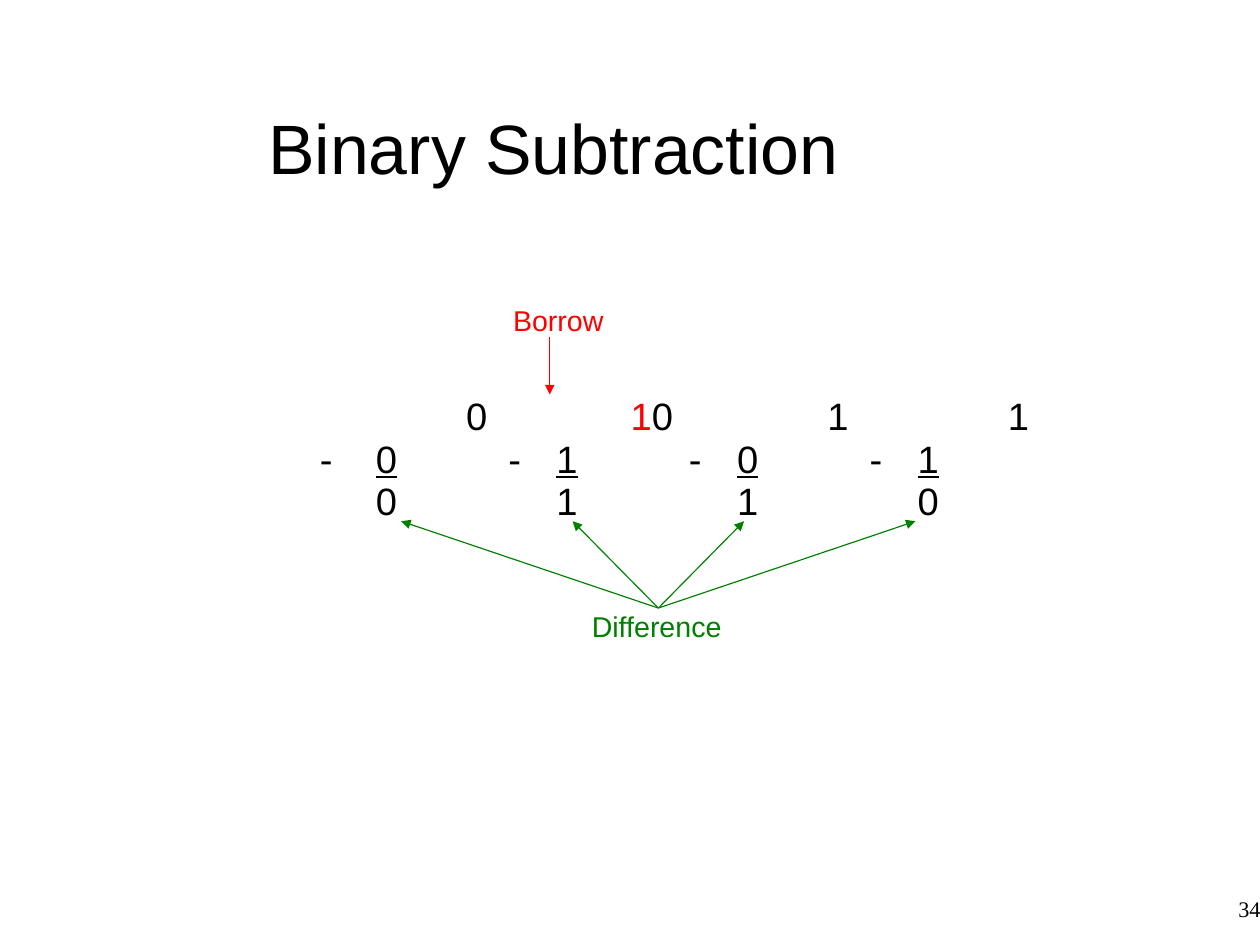
import pptx
import pptx.util
import pptx.dml.color
import pptx.enum.shapes
import pptx.enum.text
import pptx.oxml.ns
from lxml import etree

Inches = pptx.util.Inches
Pt = pptx.util.Pt
qn = pptx.oxml.ns.qn
PP_ALIGN = pptx.enum.text.PP_ALIGN
ANCHOR = pptx.enum.text.MSO_ANCHOR
COLORS = {"ink": "000000", "borrow": "FF0000", "difference": "008000"}


def rgb(name):
    return pptx.dml.color.RGBColor.from_string(COLORS[name])


class Deck:
    font = "Arial"
    spacing = 0.93
    label_insets = (0.1, 0.07, 0.1, 0.05)

    def __init__(self, width, height):
        self.prs = pptx.Presentation()
        self.prs.slide_width = width
        self.prs.slide_height = height

    def add_slide(self):
        self.s = self.prs.slides.add_slide(self.prs.slide_layouts[5])

    def frame(self, sp, insets, anchor=ANCHOR.TOP, wrap=True):
        tf = sp.text_frame
        tf.auto_size = pptx.enum.text.MSO_AUTO_SIZE.NONE
        tf.word_wrap = wrap
        tf.vertical_anchor = anchor
        tf.margin_left, tf.margin_top, tf.margin_right, tf.margin_bottom = map(Inches, insets)
        return tf

    def paragraph(self, p, runs, size, align=PP_ALIGN.LEFT, font=None, tabs=()):
        p.alignment = align
        p.line_spacing = self.spacing
        if tabs:
            tab_list = etree.SubElement(p._p.get_or_add_pPr(), qn("a:tabLst"))
            for pos in tabs:
                etree.SubElement(tab_list, qn("a:tab"), pos=str(Inches(pos)), algn="l")
        for text, color, underline in runs:
            r = p.add_run()
            r.text = text
            r.font.name = font or self.font
            r.font.size = Pt(size)
            r.font.color.rgb = rgb(color)
            r.font.underline = underline

    def title(self, text, box):
        sp = self.s.shapes.title
        sp.left, sp.top, sp.width, sp.height = map(Inches, box)
        tf = self.frame(sp, (0, 0.04, 0, 0), ANCHOR.MIDDLE)
        self.paragraph(tf.paragraphs[0], [(text, "ink", False)], 44, PP_ALIGN.CENTER)

    def page_number(self, text, box):
        sp = self.s.shapes.add_textbox(*map(Inches, box))
        tf = self.frame(sp, (0, 0, 0, 0))
        self.paragraph(tf.paragraphs[0], [(text, "ink", False)], 14,
                       PP_ALIGN.RIGHT, "Times New Roman")

    def text(self, rows, box, size):
        sp = self.s.shapes.add_textbox(*map(Inches, box))
        tf = self.frame(sp, self.label_insets, wrap=False)
        for i, (runs, tabs) in enumerate(rows):
            p = tf.add_paragraph() if i else tf.paragraphs[0]
            self.paragraph(p, runs, size, tabs=tabs)

    def label(self, text, color, box):
        self.text([([(text, color, False)], ())], box, 18)

    def arrow(self, start, end, color):
        c = self.s.shapes.add_connector(pptx.enum.shapes.MSO_CONNECTOR.STRAIGHT,
                                        *map(Inches, start + end))
        c.line.color.rgb = rgb(color)
        c.line.width = Pt(0.75)
        etree.SubElement(c.line._get_or_add_ln(), qn("a:tailEnd"), type="triangle")
        etree.SubElement(c._element.spPr, qn("a:effectLst"))


def subtraction_rows():
    digits = [0.49, 2.07, 3.65, 5.23]
    minuends = [("\t0\t", "ink", False), ("1", "borrow", False), ("0\t1\t1", "ink", False)]
    subtrahends = []
    for i, digit in enumerate("0101"):
        subtrahends += [("\t-\t" if i else "-\t", "ink", False), (digit, "ink", True)]
    signs = [x - 0.42 for x in digits[1:]]
    differences = [("".join("\t" + digit for digit in "0110"), "ink", False)]
    return [(minuends, [1.28, 2.72, 4.44, 6.02]),
            (subtrahends, sorted(digits + signs)),
            (differences, digits)]


def main():
    deck = Deck(Pt(793.75), Pt(595.25))
    deck.add_slide()
    deck.title("Binary Subtraction", (0, 0.61, 9.69, 1.38))
    deck.page_number("34", (8.46, 7.85, 2.57, 0.57))
    deck.text(subtraction_rows(), (2.7, 3.4, 5.62, 1.21), 24)
    deck.label("Difference", "difference", (5.08, 5.28, 1.33, 0.38))
    deck.label("Borrow", "borrow", (4.39, 2.61, 0.98, 0.38))
    deck.arrow((4.81, 2.95), (4.81, 3.45), "borrow")
    for i in range(4):
        deck.arrow((5.76, 5.32), (3.51 + 1.5 * i, 4.56), "difference")
    deck.prs.save("out.pptx")


if __name__ == "__main__":
    main()
